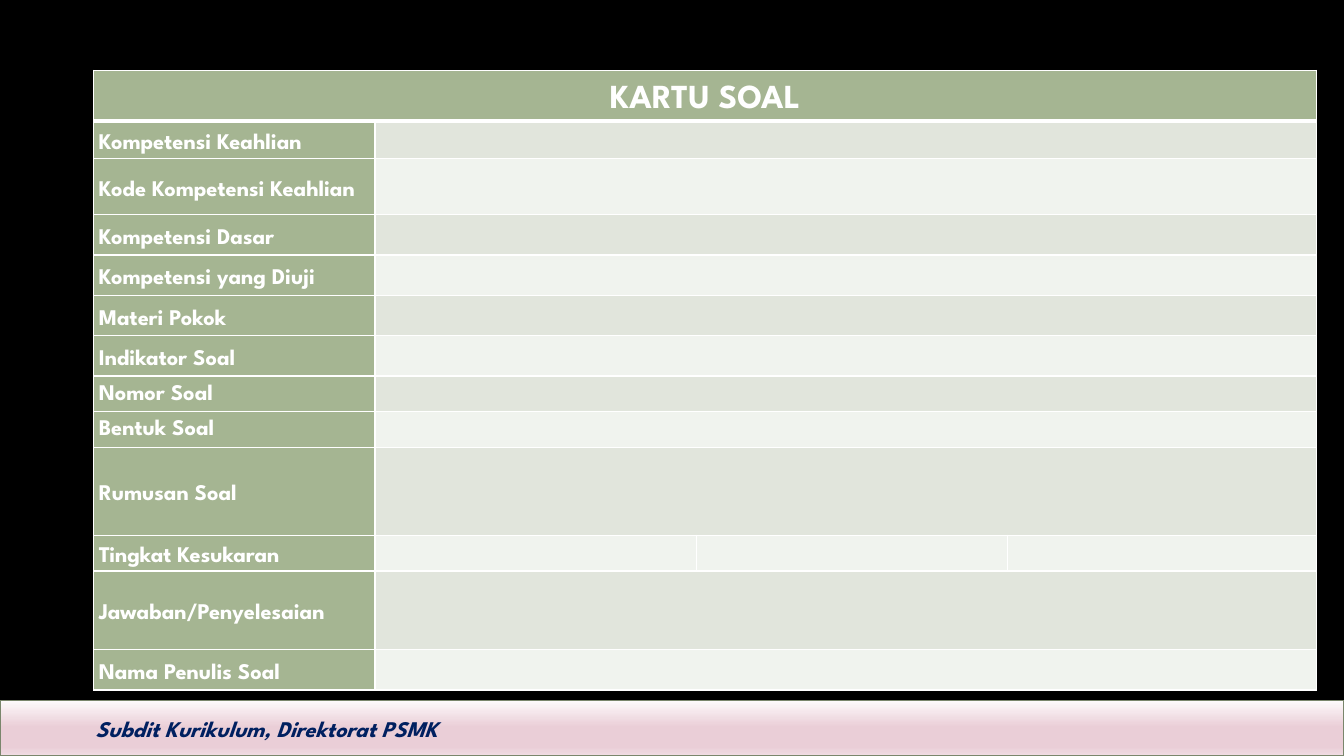
from dataclasses import dataclass
import lxml.etree
import pptx
import pptx.dml.color
import pptx.enum.shapes
import pptx.enum.text
import pptx.oxml.ns
import pptx.util

Inches = pptx.util.Inches
Pt = pptx.util.Pt
Align = pptx.enum.text.PP_ALIGN
Anchor = pptx.enum.text.MSO_ANCHOR
qn = pptx.oxml.ns.qn


@dataclass(frozen=True)
class Theme:
    font: str = "League Spartan"
    back: str = "000000"
    white: str = "FFFFFF"
    navy: str = "002060"
    green: str = "A5B592"
    bands: tuple = ("E1E5DC", "F0F3EE")
    edge: str = "7A866C"
    fade: tuple = ((0, "FDFAFB"), (48, "EACED7"), (84, "EACED7"), (100, "F1DEE5"))
    title: int = 24
    body: int = 16
    thin: int = 1
    thick: int = 3


@dataclass(frozen=True)
class Row:
    label: str
    height: float
    anchor: Anchor = Anchor.MIDDLE
    split: bool = False


THEME = Theme()
HEAD = Row("KARTU SOAL", 0.5)
ROWS = (
    Row("Kompetensi Keahlian", 0.37),
    Row("Kode Kompetensi Keahlian", 0.56),
    Row("Kompetensi Dasar", 0.4),
    Row("Kompetensi yang Diuji", 0.4),
    Row("Materi Pokok", 0.4),
    Row("Indikator Soal", 0.4),
    Row("Nomor Soal", 0.35, Anchor.TOP),
    Row("Bentuk Soal", 0.35, Anchor.TOP),
    Row("Rumusan Soal", 0.87),
    Row("Tingkat Kesukaran", 0.35, split=True),
    Row("Jawaban/Penyelesaian", 0.78),
    Row("Nama Penulis Soal", 0.4),
)
COLS = (2.79, 3.19, 3.08, 3.07)


def rgb(color: str) -> pptx.dml.color.RGBColor:
    return pptx.dml.color.RGBColor.from_string(color)


def write(frame, text: str, *, size: int = THEME.body, color: str = THEME.white,
          italic: bool = False, align: Align = Align.LEFT, space: float = 1.0) -> None:
    para = frame.paragraphs[0]
    para.alignment = align
    para.line_spacing = space
    run = para.add_run()
    run.text = text
    run.font.name = THEME.font
    run.font.size = Pt(size)
    run.font.bold = True
    run.font.italic = italic
    run.font.color.rgb = rgb(color)


def style(cell, color: str, top: int = THEME.thin, base: int = THEME.thin) -> None:
    cell.fill.solid()
    cell.fill.fore_color.rgb = rgb(color)
    cell.margin_left = cell.margin_right = Inches(0.05)
    cell.margin_top = cell.margin_bottom = 0
    props = cell.fill._xPr
    sides = (("L", THEME.thin), ("R", THEME.thin), ("T", top), ("B", base))
    for place, (side, width) in enumerate(sides):
        line = lxml.etree.Element(qn(f"a:ln{side}"), w=str(Pt(width)))
        fill = lxml.etree.SubElement(line, qn("a:solidFill"))
        lxml.etree.SubElement(fill, qn("a:srgbClr"), val=THEME.white)
        props.insert(place, line)


def label(cell, row: Row, **form) -> None:
    cell.margin_top = Inches(0.07)
    cell.vertical_anchor = row.anchor
    write(cell.text_frame, row.label, space=1.07, **form)


def footer(slide) -> None:
    bar = slide.shapes.add_shape(pptx.enum.shapes.MSO_SHAPE.RECTANGLE,
                                 0, Inches(6.95), Inches(13.33), Inches(0.55))
    bar.shadow.inherit = False
    bar.line.color.rgb = rgb(THEME.edge)
    bar.line.width = Pt(THEME.thin)
    bar.fill.gradient()
    bar.fill.gradient_angle = 270
    stops = bar.element.spPr.find(f".//{qn('a:gsLst')}")
    for stop in list(stops):
        stops.remove(stop)
    for spot, color in THEME.fade:
        stop = lxml.etree.SubElement(stops, qn("a:gs"), pos=str(spot * 1000))
        lxml.etree.SubElement(stop, qn("a:srgbClr"), val=color)
    box = slide.shapes.add_textbox(Inches(0.85), Inches(7.05), Inches(3.83), Inches(0.37))
    box.text_frame.word_wrap = False
    write(box.text_frame, "Subdit Kurikulum, Direktorat PSMK",
          color=THEME.navy, italic=True)


def card(slide) -> None:
    rows = (HEAD, *ROWS)
    high = sum(row.height for row in rows)
    table = slide.shapes.add_table(len(rows), len(COLS), Inches(0.93), Inches(0.7),
                                   Inches(sum(COLS)), Inches(high)).table
    for col, width in zip(table.columns, COLS):
        col.width = Inches(width)
    last = len(COLS) - 1
    for num, row in enumerate(rows):
        table.rows[num].height = Inches(row.height)
        top = THEME.thick if num == 1 else THEME.thin
        base = THEME.thick if num == 0 else THEME.thin
        for col in range(len(COLS)):
            green = num == 0 or col == 0
            color = THEME.green if green else THEME.bands[(num - 1) % 2]
            style(table.cell(num, col), color, top, base)
        if num and not row.split:
            table.cell(num, 1).merge(table.cell(num, last))
        if num:
            label(table.cell(num, 0), row)
    table.cell(0, 0).merge(table.cell(0, last))
    label(table.cell(0, 0), HEAD, size=THEME.title, align=Align.CENTER)


def main() -> None:
    deck = pptx.Presentation()
    deck.slide_width = Inches(13.33)
    deck.slide_height = Inches(7.5)
    slide = deck.slides.add_slide(deck.slide_layouts[6])
    slide.background.fill.solid()
    slide.background.fill.fore_color.rgb = rgb(THEME.back)
    footer(slide)
    card(slide)
    deck.save("out.pptx")


if __name__ == "__main__":
    main()
